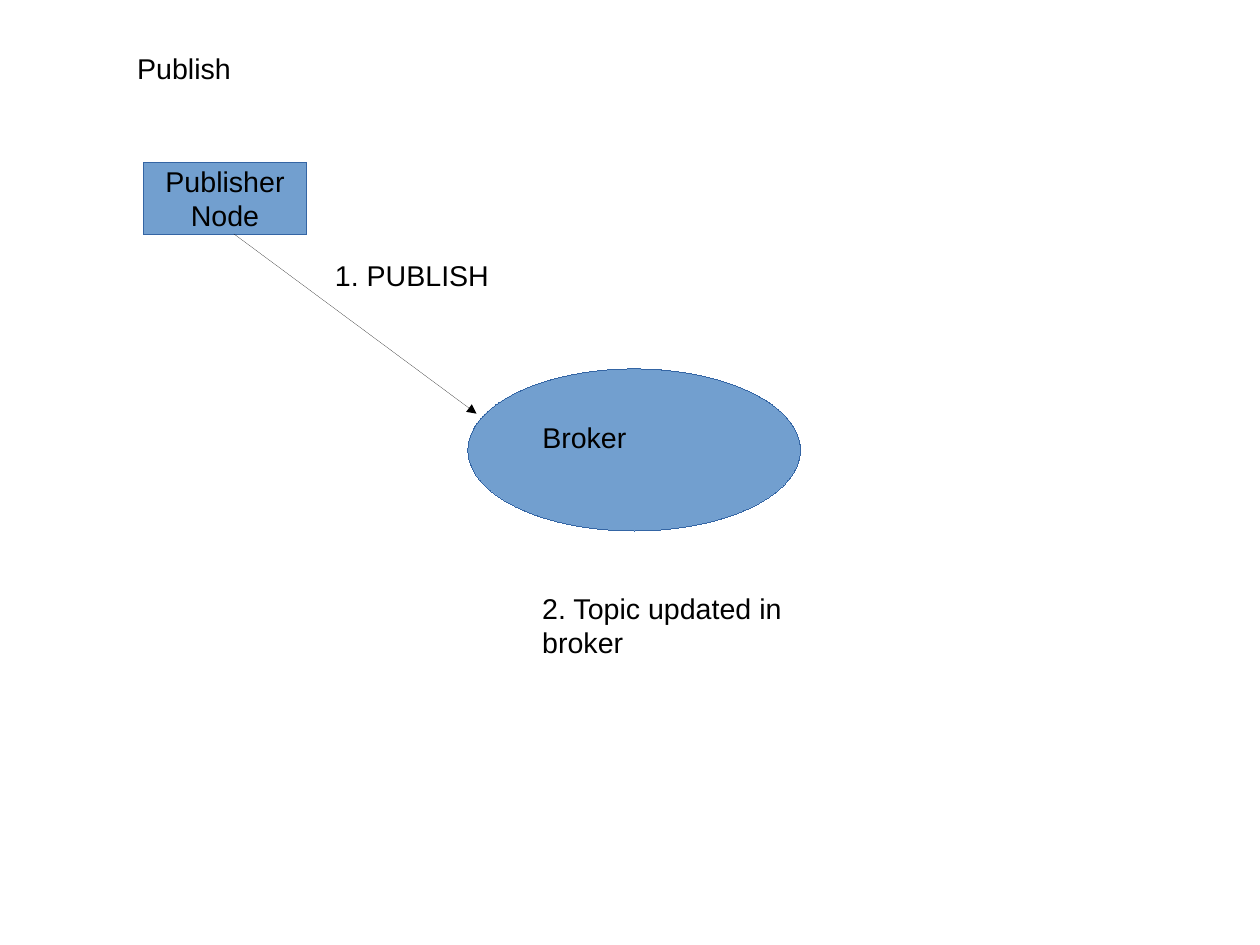
from lxml import etree
from pptx import Presentation
from pptx.dml.color import RGBColor
from pptx.enum.shapes import MSO_CONNECTOR, MSO_SHAPE
from pptx.enum.text import MSO_ANCHOR, MSO_AUTO_SIZE, PP_ALIGN
from pptx.oxml.ns import qn
from pptx.util import Pt

STRAIGHT = MSO_CONNECTOR.STRAIGHT
OVAL, RECT = MSO_SHAPE.OVAL, MSO_SHAPE.RECTANGLE
TOP, MIDDLE = MSO_ANCHOR.TOP, MSO_ANCHOR.MIDDLE
LEFT, CENTER = PP_ALIGN.LEFT, PP_ALIGN.CENTER
NO_FIT = MSO_AUTO_SIZE.NONE
TITLE_ONLY = 5
COLORS = {"fill": "729FCF", "outline": "3465A4", "ink": "000000"}


def color(name):
    """Return the named colour."""
    return RGBColor.from_string(COLORS[name])


def write(shape, text, align=LEFT, anchor=TOP, wrap=True):
    """Put text in a shape, one paragraph per line."""
    tf = shape.text_frame
    tf.text = text
    tf.auto_size = NO_FIT
    tf.word_wrap = wrap
    tf.vertical_anchor = anchor
    for p in tf.paragraphs:
        p.alignment = align
        p.font.name = "Arial"
        p.font.size = Pt(18)
        p.font.color.rgb = color("ink")


def set_hairline(shape, name):
    """Give a shape the thinnest line and return its XML element."""
    shape.line.color.rgb = color(name)
    ln = shape.line._get_or_add_ln()
    ln.set("w", "0")
    return ln


def add_title(s, text, x, y, w, h):
    """Place and fill the title placeholder."""
    title = s.shapes.title
    title.left, title.top, title.width, title.height = map(Pt, (x, y, w, h))
    write(title, text)


def add_label(s, text, x, y, w, h):
    """Add a plain text box."""
    write(s.shapes.add_textbox(Pt(x), Pt(y), Pt(w), Pt(h)), text)


def add_node(s, kind, x, y, w, h):
    """Add a filled and outlined shape."""
    sp = s.shapes.add_shape(kind, Pt(x), Pt(y), Pt(w), Pt(h))
    sp.shadow.inherit = False
    sp.fill.solid()
    sp.fill.fore_color.rgb = color("fill")
    set_hairline(sp, "outline")
    return sp


def add_arrow(s, x1, y1, x2, y2):
    """Add a hairline arrow."""
    arrow = s.shapes.add_connector(STRAIGHT, Pt(x1), Pt(y1), Pt(x2), Pt(y2))
    ln = set_hairline(arrow, "ink")
    etree.SubElement(ln, qn("a:tailEnd"), type="triangle")
    etree.SubElement(arrow._element.spPr, qn("a:effectLst"))


def main():
    """Build the publish diagram."""
    prs = Presentation()
    prs.slide_width, prs.slide_height = Pt(793.7), Pt(595.28)
    s = prs.slides.add_slide(prs.slide_layouts[TITLE_ONLY])
    add_title(s, "Publish", 79.2, 28.2, 249, 27.4)
    add_node(s, OVAL, 294.7, 232.4, 209.5, 102.1)
    publisher = add_node(s, RECT, 90.7, 102.1, 102.1, 45.4)
    write(publisher, "Publisher\nNode", CENTER, MIDDLE, wrap=False)
    add_arrow(s, 147.4, 147.4, 300.2, 260.6)
    add_label(s, "Broker", 334.5, 260.7, 130.3, 27.4)
    add_label(s, "1. PUBLISH", 203.9, 159, 170, 27.4)
    add_label(s, "2. Topic updated in broker", 334.5, 368.5, 187.2, 47.5)
    prs.save("out.pptx")


if __name__ == "__main__":
    main()
